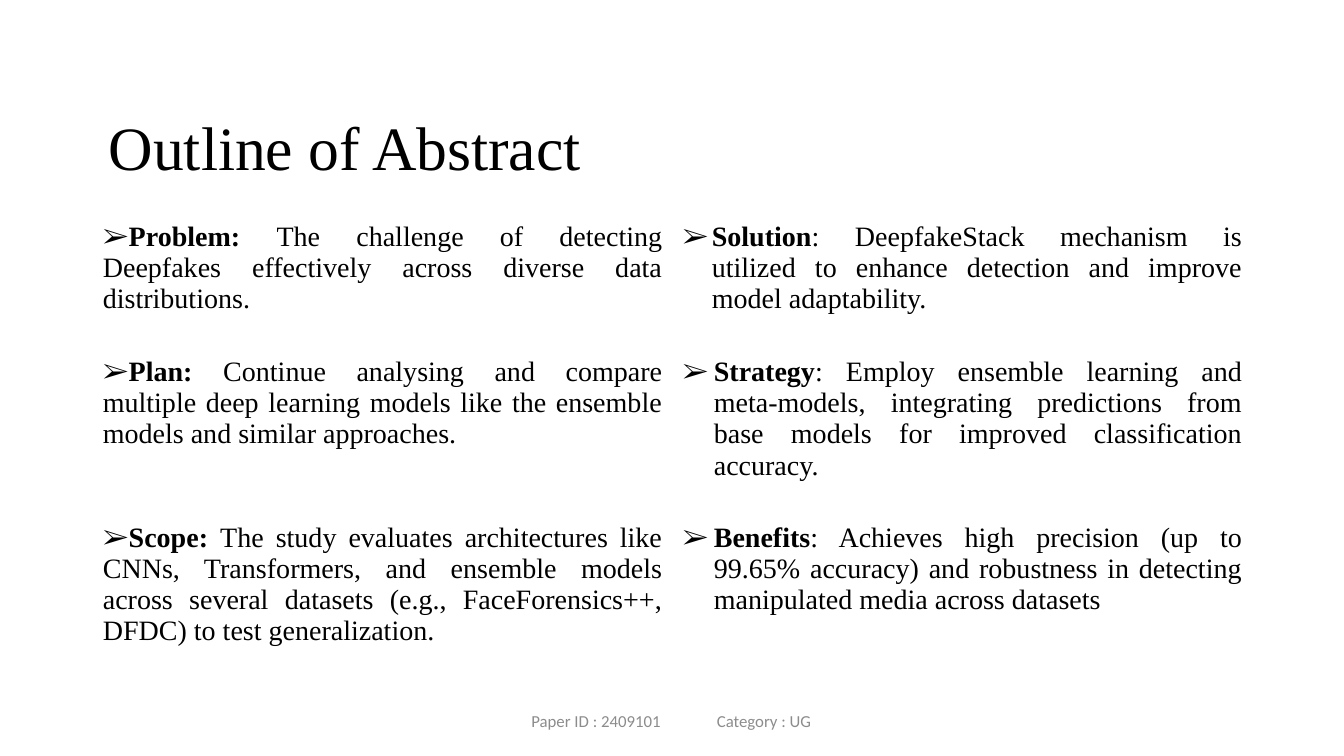
import dataclasses

import pptx
import pptx.dml.color
import pptx.enum.text
import pptx.oxml.ns
import pptx.util
from lxml import etree

Inches = pptx.util.Inches
Pt = pptx.util.Pt
RGBColor = pptx.dml.color.RGBColor
Align = pptx.enum.text.PP_ALIGN
qn = pptx.oxml.ns.qn

BLACK = RGBColor(0x00, 0x00, 0x00)
GRAY = RGBColor(0x8C, 0x8C, 0x8C)
SERIF = "Times New Roman"
SANS = "Calibri"


@dataclasses.dataclass
class Point:
    label: str
    detail: str
    hang: float = 0


@dataclasses.dataclass
class OutlineRow:
    height: float
    points: tuple[Point, Point]


OUTLINE = [
    OutlineRow(1.34, (
        Point("Problem: ", "The challenge of detecting Deepfakes effectively "
              "across diverse data distributions."),
        Point("Solution", ": DeepfakeStack mechanism is utilized to enhance "
              "detection and improve model adaptability.", 0.29),
    )),
    OutlineRow(1.64, (
        Point("Plan: ", "Continue analysing and compare multiple deep learning "
              "models like the ensemble models and similar approaches."),
        Point("Strategy", ": Employ ensemble learning and meta-models, integrating "
              "predictions from base models for improved classification accuracy.", 0.31),
    )),
    OutlineRow(1.65, (
        Point("Scope: ", "The study evaluates architectures like CNNs, Transformers, "
              "and ensemble models across several datasets (e.g., FaceForensics++, "
              "DFDC) to test generalization."),
        Point("Benefits", ": Achieves high precision (up to 99.65% accuracy) and "
              "robustness in detecting manipulated media across datasets", 0.31),
    )),
]


def add_run(p, text: str, size: float, font: str, color: RGBColor, bold: bool = False) -> None:
    r = p.add_run()
    r.text = text
    r.font.size = Pt(size)
    r.font.name = font
    r.font.color.rgb = color
    r.font.bold = bold


def add_text_box(slide, left: float, top: float, width: float, height: float):
    """Add a wrapped, vertically centred box and return its text frame."""
    sp = slide.shapes.add_textbox(Inches(left), Inches(top), Inches(width), Inches(height))
    tf = sp.text_frame
    tf.word_wrap = True
    tf.vertical_anchor = pptx.enum.text.MSO_ANCHOR.MIDDLE
    return tf


def set_bullet(p, hang: float) -> None:
    pPr = p._p.get_or_add_pPr()
    pPr.set("marL", str(Inches(hang)))
    pPr.set("indent", str(-Inches(hang)))
    etree.SubElement(pPr, qn("a:buFont"), typeface=SERIF)
    etree.SubElement(pPr, qn("a:buChar"), char="➢")


def set_tab_stop(p, position: float) -> None:
    tabs = etree.SubElement(p._p.get_or_add_pPr(), qn("a:tabLst"))
    etree.SubElement(tabs, qn("a:tab"), pos=str(Inches(position)), algn="l")


def add_title(slide) -> None:
    p = add_text_box(slide, 0.98, 0.77, 11.5, 1.45).paragraphs[0]
    p.line_spacing = 0.9
    add_run(p, "Outline of Abstract", 44, SERIF, BLACK)


def add_footer(slide) -> None:
    tf = add_text_box(slide, 4.42, 6.95, 4.5, 0.4)
    tf.margin_left = Inches(0.85)
    p = tf.paragraphs[0]
    p.alignment = Align.LEFT
    set_tab_stop(p, 1.84)
    add_run(p, "Paper ID : 2409101\tCategory : UG", 12, SANS, GRAY)


def fill_cell(cell, point: Point) -> None:
    cell.fill.background()
    p = cell.text_frame.paragraphs[0]
    p.alignment = Align.JUSTIFY
    set_bullet(p, point.hang)
    add_run(p, point.label, 20, SERIF, BLACK, bold=True)
    add_run(p, point.detail, 20, SERIF, BLACK)


def add_outline(slide) -> None:
    height = sum(row.height for row in OUTLINE)
    frame = slide.shapes.add_table(len(OUTLINE), 2, Inches(0.92), Inches(2.15),
                                   Inches(11.5), Inches(height))
    table = frame.table
    table.first_row = False
    table.horz_banding = False
    for i, row in enumerate(OUTLINE):
        table.rows[i].height = Inches(row.height)
        for j, point in enumerate(row.points):
            fill_cell(table.cell(i, j), point)


def main() -> None:
    prs = pptx.Presentation()
    prs.slide_width = Inches(13.33)
    prs.slide_height = Inches(7.5)
    slide = prs.slides.add_slide(prs.slide_layouts[6])
    add_title(slide)
    add_footer(slide)
    add_outline(slide)
    prs.save("out.pptx")


if __name__ == "__main__":
    main()
